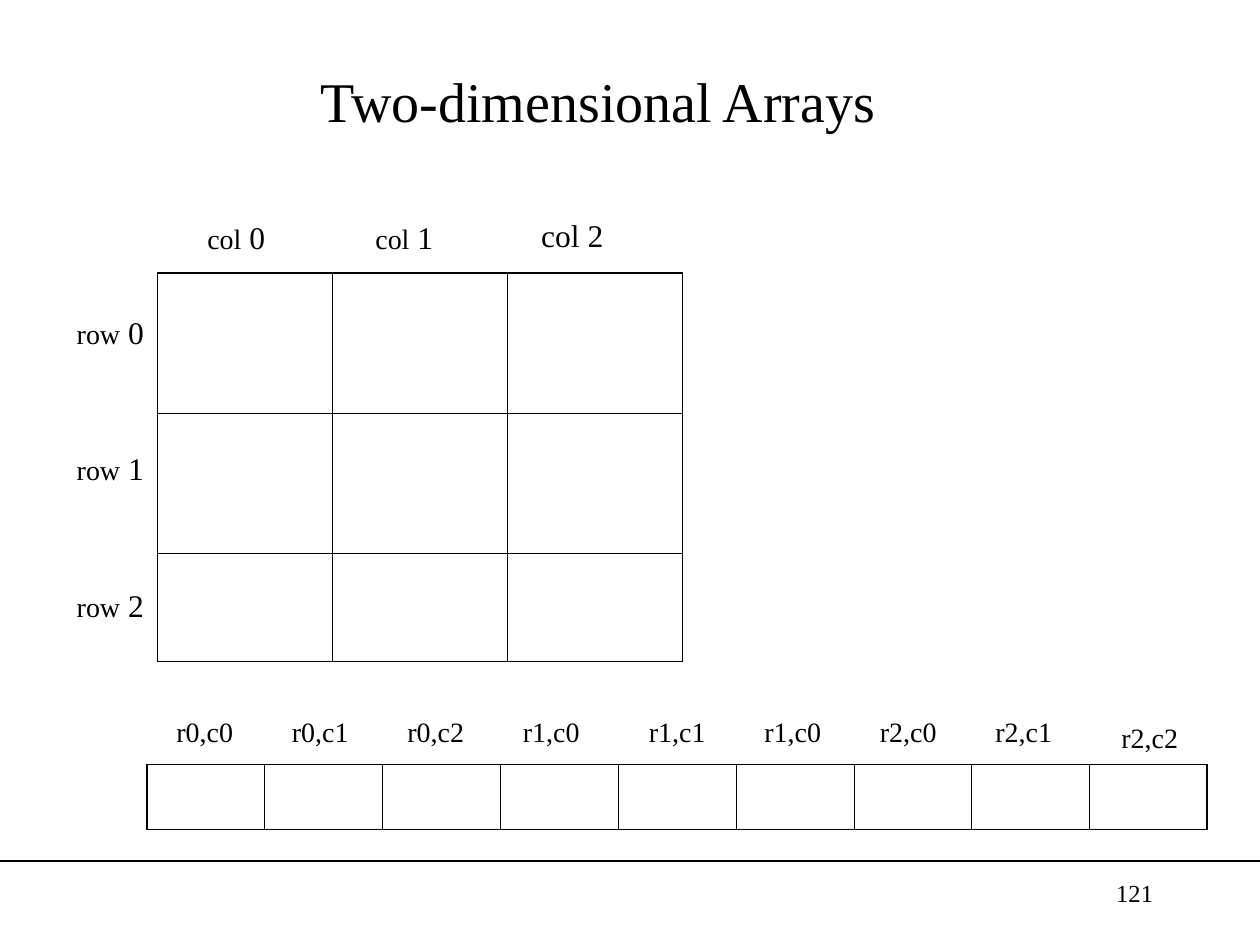
from lxml import etree
from pptx import Presentation
from pptx.dml.color import RGBColor
from pptx.enum.shapes import MSO_CONNECTOR
from pptx.enum.text import MSO_ANCHOR, PP_ALIGN
from pptx.oxml.ns import qn
from pptx.util import Inches, Pt

LEFT, MID, RIGHT = PP_ALIGN.LEFT, PP_ALIGN.CENTER, PP_ALIGN.RIGHT
TOP, CENTER = MSO_ANCHOR.TOP, MSO_ANCHOR.MIDDLE
LINE = MSO_CONNECTOR.STRAIGHT
FONT = "Times New Roman"
BLACK = "000000"
THICK, THIN = 1.08, 0.45
UNIT = Inches(1) / 12
WIDE, HIGH = 120, 90
LABEL = 9


def color(code):
    """Turn a hex string into a colour."""
    return RGBColor.from_string(code)


def grid(*units):
    """Turn grid units, twelve to the inch, into lengths."""
    return [round(n * UNIT) for n in units]


def write(shape, *runs, align=LEFT, anchor=TOP):
    """Fill a shape with one paragraph of (text, size) runs."""
    frame = shape.text_frame
    frame.word_wrap = True
    frame.vertical_anchor = anchor
    para = frame.paragraphs[0]
    para.alignment = align
    for text, size in runs:
        run = para.add_run()
        run.text = text
        run.font.name = FONT
        run.font.size = Pt(size)
        run.font.color.rgb = color(BLACK)


def label(slide, left, top, *runs):
    """Place one centred label."""
    box = slide.shapes.add_textbox(*grid(left, top, LABEL, 4.8))
    write(box, *runs, align=MID)


def border(cell, sides):
    """Draw the four edges of a cell from a side-to-width map."""
    props = cell._tc.get_or_add_tcPr()
    for spot, (side, width) in enumerate(sides.items()):
        edge = etree.Element(qn(f"a:ln{side}"), w=str(Pt(width)))
        fill = etree.SubElement(edge, qn("a:solidFill"))
        etree.SubElement(fill, qn("a:srgbClr"), val=BLACK)
        props.insert(spot, edge)


def table(slide, box, cols, shares):
    """Add an empty table with equal columns and rows sized by share."""
    rows = len(shares)
    left, top, wide, high = grid(*box)
    tab = slide.shapes.add_table(rows, cols, left, top, wide, high).table
    tab.first_row = tab.horz_banding = False
    for col in tab.columns:
        col.width = round(wide / cols)
    for row, share in zip(tab.rows, shares):
        row.height = round(high * share / sum(shares))
    for r in range(rows):
        for c in range(cols):
            cell = tab.cell(r, c)
            cell.fill.background()
            outer = {"L": c == 0, "R": c == cols - 1,
                     "T": r == 0, "B": r == rows - 1}
            border(cell, {s: THICK if out else THIN
                          for s, out in outer.items()})


def matrix(slide, box):
    """Place the square array with its row and column labels."""
    left, top, _, _ = box
    table(slide, box, 3, [40, 40, 31])
    for i in range(3):
        label(slide, left - LABEL, top + 3.2 + 13 * i,
              ("row", 16), (f" {i}", 18))
    for i in range(3):
        size, rise = (18, 6) if i == 2 else (16, 5.8)
        label(slide, left + 3 + 16 * i, top - rise,
              ("col", size), (f" {i}", 18))


def memory(slide, box, names):
    """Place the flat array with a name above each cell."""
    left, top, _, _ = box
    table(slide, box, len(names), [1])
    for i, name in enumerate(names):
        drop = 0.5 if i == len(names) - 1 else 0
        label(slide, left + 1 + 11 * i + i // 4, top - 5.3 + drop, (name, 16))


def heading(slide, box, text):
    """Move and format the title."""
    title = slide.shapes.title
    title.left, title.top, title.width, title.height = grid(*box)
    write(title, (text, 32), align=MID, anchor=CENTER)


def footer(slide, box, number):
    """Draw the rule across the slide and the page number under it."""
    left, top, wide, _ = box
    rule = slide.shapes.add_connector(
        LINE, *grid(left, top, left + wide, top))
    rule.line.color.rgb = color(BLACK)
    rule.line.width = Pt(0.75)
    etree.SubElement(rule._element.spPr, qn("a:effectLst"))
    page = slide.shapes.add_textbox(*grid(left + 86, top + 1, 25, 6))
    write(page, (number, 14), align=RIGHT)


def main():
    """Build and save the slide."""
    deck = Presentation()
    deck.slide_width, deck.slide_height = grid(WIDE, HIGH)
    slide = deck.slides.add_slide(deck.slide_layouts[5])
    heading(slide, (6, 3, 102, 13), "Two-dimensional Arrays")
    matrix(slide, (15, 26, 50, 37))
    names = ["r0,c0", "r0,c1", "r0,c2", "r1,c0", "r1,c1", "r1,c0",
             "r2,c0", "r2,c1", "r2,c2"]
    memory(slide, (14, 72.8, 101, 6.2), names)
    footer(slide, (0, 82, WIDE, 8), "121")
    deck.save("out.pptx")


if __name__ == "__main__":
    main()
